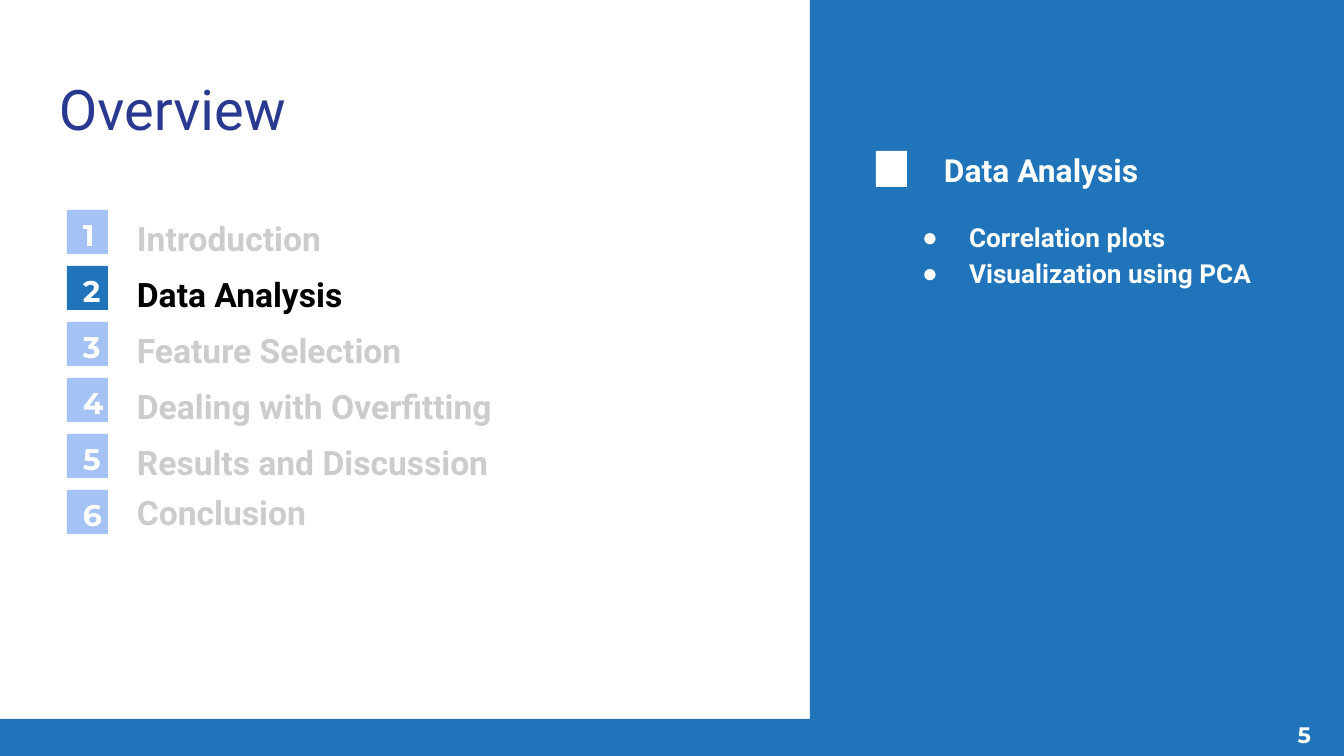
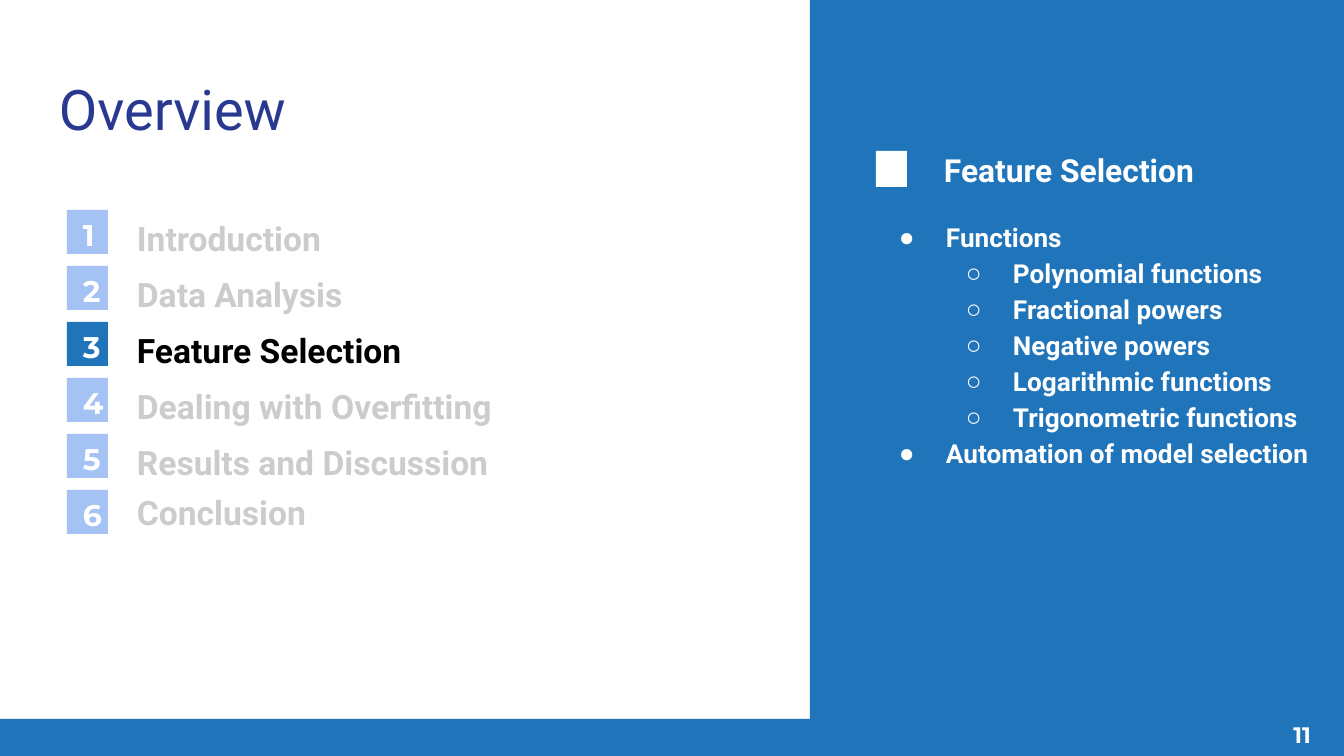
from lxml import etree
from pptx import Presentation
from pptx.dml.color import RGBColor
from pptx.enum.shapes import MSO_SHAPE
from pptx.enum.text import MSO_ANCHOR, MSO_AUTO_SIZE, PP_ALIGN
from pptx.oxml.ns import qn
from pptx.util import Emu, Pt

RECTANGLE = MSO_SHAPE.RECTANGLE
TOP, MIDDLE = MSO_ANCHOR.TOP, MSO_ANCHOR.MIDDLE
NO_AUTOFIT = MSO_AUTO_SIZE.NONE
LEFT, RIGHT = PP_ALIGN.LEFT, PP_ALIGN.RIGHT

TITLE = "Overview"
AGENDA = [
    ("Introduction", 263),
    ("Data Analysis", 263),
    ("Feature Selection", 298),
    ("Dealing with Overfitting", 405),
    ("Results and Discussion", 360),
    ("Conclusion", 263),
]
SECTIONS = [
    {
        "current": 2,
        "page": "5",
        "body": (902, 217, 388, 239),
        "topics": [(0, "Correlation plots"), (0, "Visualization using PCA")],
    },
    {
        "current": 3,
        "page": "11",
        "body": (879, 217, 445, 239),
        "topics": [
            (0, "Functions"),
            (1, "Polynomial functions"),
            (1, "Fractional powers"),
            (1, "Negative powers"),
            (1, "Logarithmic functions"),
            (1, "Trigonometric functions"),
            (0, "Automation of model selection"),
        ],
    },
]

BLUE, PALE_BLUE, NAVY = "2074B9", "A4C2F4", "2A3990"
WHITE, BLACK, GREY = "FFFFFF", "000000", "CCCCCC"
TEXT_FONT, NUMBER_FONT = "Roboto", "Montserrat"
BULLETS = "●○"

WIDTH, HEIGHT = 1344, 756
INSET = 13
AGENDA_TOP, AGENDA_STEP = 210, 56
INDENT_STEP, HANGING = 67, 47
LINE_SPACING = 1.15


def px(length):
    return Emu(round(length * 914400 / 134.4))


def color(value):
    return RGBColor.from_string(value)


def place(shape, box):
    shape.left, shape.top, shape.width, shape.height = map(px, box)


def add_rectangle(shapes, box, fill):
    shape = shapes.add_shape(RECTANGLE, *map(px, box))
    shape.shadow.inherit = False
    shape.fill.solid()
    shape.fill.fore_color.rgb = color(fill)
    shape.line.fill.background()
    return shape


def set_frame(shape, inset=0, anchor=TOP):
    frame = shape.text_frame
    frame.word_wrap = True
    frame.auto_size = NO_AUTOFIT
    frame.vertical_anchor = anchor
    frame.margin_left = frame.margin_right = px(inset)
    frame.margin_top = frame.margin_bottom = px(inset)
    return frame


def format_paragraph(paragraph, text, size, fill, name=TEXT_FONT, bold=True,
                     align=LEFT, spacing=None):
    paragraph.text = text
    paragraph.alignment = align
    paragraph.line_spacing = spacing
    font = paragraph.font
    font.size, font.name, font.bold = Pt(size), name, bold
    font.color.rgb = color(fill)


def add_text(shapes, box, text, size, fill, inset=0, anchor=TOP, **style):
    frame = set_frame(shapes.add_textbox(*map(px, box)), inset, anchor)
    format_paragraph(frame.paragraphs[0], text, size, fill, **style)


def add_bullet(paragraph, level):
    paragraph.level = level
    properties = paragraph._p.get_or_add_pPr()
    properties.set("marL", str(px(INDENT_STEP * (level + 1))))
    properties.set("indent", str(px(-HANGING)))
    bullet_color = etree.SubElement(properties, qn("a:buClr"))
    etree.SubElement(bullet_color, qn("a:srgbClr"), val=WHITE)
    etree.SubElement(properties, qn("a:buChar"), char=BULLETS[level])


def add_agenda(slide, current):
    for index, (label, width) in enumerate(AGENDA):
        top = AGENDA_TOP + index * AGENDA_STEP
        active = index + 1 == current
        last = index + 1 == len(AGENDA)
        shapes = slide.shapes.add_group_shape().shapes
        add_text(shapes, (137, top + 2, width, 31), label, 18,
                 BLACK if active else GREY, spacing=None if last else LINE_SPACING)
        add_rectangle(shapes, (67, top, 41, 44), BLUE if active else PALE_BLUE)
        add_text(shapes, (83, top + 7, 24, 31), str(index + 1), 16, WHITE,
                 name=NUMBER_FONT)


def add_panel(slide, heading):
    add_rectangle(slide.shapes, (810, 0, WIDTH - 810, HEIGHT), BLUE)
    shapes = slide.shapes.add_group_shape().shapes
    add_text(shapes, (944, 151, 329, 36), heading, 17, WHITE)
    add_rectangle(shapes, (876, 151, 31, 36), WHITE)


def fill_topics(slide, body, box, topics):
    place(body, box)
    slide.shapes.element.append(body.element)
    frame = set_frame(body)
    for index, (level, topic) in enumerate(topics):
        paragraph = frame.add_paragraph() if index else frame.paragraphs[0]
        add_bullet(paragraph, level)
        paragraph.space_before = Pt(0)
        format_paragraph(paragraph, topic, 14, WHITE, spacing=LINE_SPACING)


def add_section(presentation, layout, section):
    slide = presentation.slides.add_slide(layout)
    title, body = slide.placeholders
    place(title, (46, 61, 1253, 89))
    format_paragraph(set_frame(title, INSET).paragraphs[0], TITLE, 30, NAVY, bold=False)
    add_agenda(slide, section["current"])
    add_panel(slide, AGENDA[section["current"] - 1][0])
    fill_topics(slide, body, section["body"], section["topics"])
    add_text(slide.shapes, (1243, 706, 81, 58), section["page"], 12, WHITE,
             inset=INSET, anchor=MIDDLE, name=NUMBER_FONT, align=RIGHT)


def fit_template(presentation):
    old_height = presentation.slide_height
    presentation.slide_width, presentation.slide_height = px(WIDTH), px(HEIGHT)
    ratio = presentation.slide_height / old_height
    layout = presentation.slide_layouts[1]
    for other in list(presentation.slide_layouts):
        if other.name != layout.name:
            presentation.slide_layouts.remove(other)
    for shape in presentation.slide_master.placeholders:
        shape.top = Emu(round(shape.top * ratio))
        shape.height = Emu(round(shape.height * ratio))
    return layout


def move_band_to_master(presentation):
    band = add_rectangle(presentation.slides[0].shapes, (0, 719, WIDTH, 37), BLUE)
    band.element.nvSpPr.cNvPr.set("id", "100")
    presentation.slide_master.shapes.element.insert(2, band.element)


def main():
    presentation = Presentation()
    layout = fit_template(presentation)
    for section in SECTIONS:
        add_section(presentation, layout, section)
    move_band_to_master(presentation)
    presentation.save("out.pptx")


if __name__ == "__main__":
    main()
